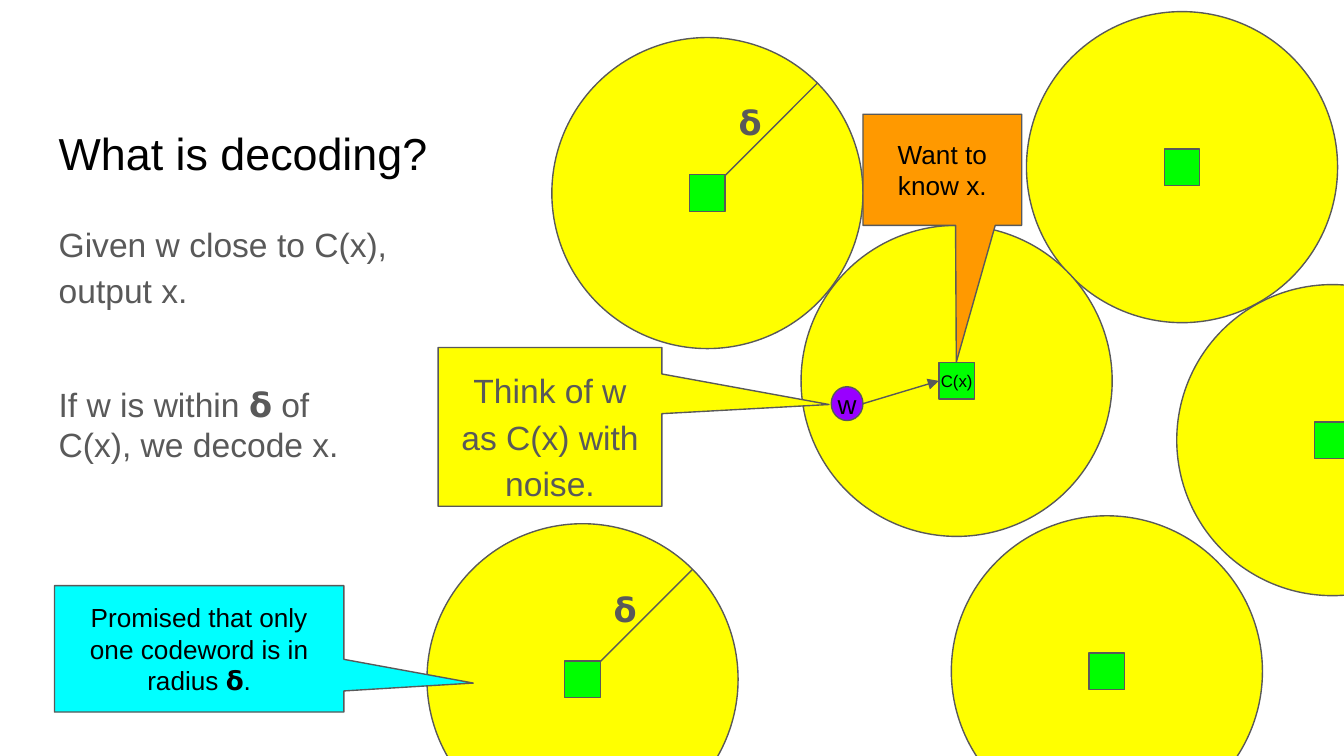
"""Build the slide that explains decoding with balls around codewords."""
import math

from lxml import etree
from pptx import Presentation
from pptx.dml.color import RGBColor
from pptx.enum.shapes import MSO_CONNECTOR, MSO_SHAPE
from pptx.enum.text import MSO_ANCHOR, MSO_AUTO_SIZE, PP_ALIGN
from pptx.oxml.ns import qn
from pptx.util import Cm, Pt

OVAL, RECTANGLE = MSO_SHAPE.OVAL, MSO_SHAPE.RECTANGLE
CALLOUT = MSO_SHAPE.RECTANGULAR_CALLOUT
STRAIGHT = MSO_CONNECTOR.STRAIGHT
TOP, MIDDLE, BOTTOM = MSO_ANCHOR.TOP, MSO_ANCHOR.MIDDLE, MSO_ANCHOR.BOTTOM
LEFT, CENTER = PP_ALIGN.LEFT, PP_ALIGN.CENTER
FIXED_SIZE = MSO_AUTO_SIZE.NONE

BLACK = RGBColor(0x00, 0x00, 0x00)
GRAY = RGBColor(0x59, 0x59, 0x59)
YELLOW = RGBColor(0xFF, 0xFF, 0x00)
GREEN = RGBColor(0x00, 0xFF, 0x00)
PURPLE = RGBColor(0x99, 0x00, 0xFF)
CYAN = RGBColor(0x00, 0xFF, 0xFF)
ORANGE = RGBColor(0xFF, 0x99, 0x00)

FONT = "Arial"
DELTA = "𝝳"
TITLE_ONLY = 5
LINE_WIDTH = Pt(0.75)
INSET = 0.25
RADIUS = 2.94
CODEWORD_SIZE = (0.67, 0.69)
NOISY_WORD_SIZE = (0.6, 0.64)

CENTERS = [(13.37, 3.65), (22.34, 3.16), (18.08, 7.2),
           (11.01, 12.84), (25.18, 8.32), (20.92, 12.69)]
MEASURED = [CENTERS[0], CENTERS[3]]
SENT = CENTERS[2]
RECEIVED = (16.01, 7.63)


def around(center, size):
    """Return the box of the given size around a centre."""
    return center[0] - size[0] / 2, center[1] - size[1] / 2, *size


def write(shape, text, size, color=BLACK, align=LEFT, anchor=TOP,
          inset=INSET, top_inset=None, spaced=False):
    """Set and format the text of a shape."""
    frame = shape.text_frame
    frame.text = text
    frame.word_wrap = True
    frame.auto_size = FIXED_SIZE
    frame.vertical_anchor = anchor
    frame.margin_left = frame.margin_right = frame.margin_bottom = Cm(inset)
    frame.margin_top = Cm(inset if top_inset is None else top_inset)
    for para in frame.paragraphs:
        para.alignment = align
        if spaced:
            para.line_spacing = 1.15
            para.space_after = Pt(12)
        for span in para.runs:
            span.font.name = FONT
            span.font.size = Pt(size)
            span.font.color.rgb = color


def add_outlined(shapes, kind, box, fill):
    """Add a filled shape with a thin gray outline."""
    shape = shapes.add_shape(kind, *map(Cm, box))
    shape.shadow.inherit = False
    shape.fill.solid()
    shape.fill.fore_color.rgb = fill
    shape.line.color.rgb = GRAY
    shape.line.width = LINE_WIDTH
    return shape


def add_line(shapes, start, end):
    """Add a thin gray straight line."""
    line = shapes.add_connector(STRAIGHT, *map(Cm, (*start, *end)))
    line.line.color.rgb = GRAY
    line.line.width = LINE_WIDTH
    etree.SubElement(line.element.spPr, qn("a:effectLst"))
    return line


def add_text(shapes, box, text, **style):
    """Add a text box with one paragraph."""
    write(shapes.add_textbox(*map(Cm, box)), text, 18, GRAY, **style)


def add_radius(shapes, center):
    """Add a diagonal radius and its label to a ball."""
    x, y = center
    reach = RADIUS * math.sqrt(0.5)
    add_line(shapes, center, (x + reach, y - reach))
    add_text(shapes, (x + 0.34, y - 2.08, 0.97, 1.4), DELTA, spaced=True)


def add_balls(page):
    """Add the group of balls with the measured radii."""
    group = page.shapes.add_group_shape()
    for center in CENTERS:
        box = around(center, (2 * RADIUS, 2 * RADIUS))
        add_outlined(group.shapes, OVAL, box, YELLOW)
    for center in MEASURED:
        add_radius(group.shapes, center)


def add_words(page):
    """Add the codewords, the noisy word and the arrow between them."""
    codewords = {center: add_outlined(page.shapes, RECTANGLE,
                                      around(center, CODEWORD_SIZE), GREEN)
                 for center in CENTERS}
    sent = codewords[SENT]
    write(sent, "C(x)", 9, align=CENTER, anchor=MIDDLE, inset=0)
    received = add_outlined(page.shapes, OVAL,
                            around(RECEIVED, NOISY_WORD_SIZE), PURPLE)
    write(received, "w", 14, align=CENTER, anchor=MIDDLE, inset=0)
    edge = (RECEIVED[0] + NOISY_WORD_SIZE[0] / 2, RECEIVED[1])
    arrow = add_line(page.shapes, edge, SENT)
    arrow.end_connect(sent, 1)
    outline = arrow.element.spPr.find(qn("a:ln"))
    etree.SubElement(outline, qn("a:tailEnd"), type="triangle")


def add_callout(page, box, tip, fill, text, size=14, **style):
    """Add a callout whose tip is a share of its box from the centre."""
    callout = add_outlined(page.shapes, CALLOUT, box, fill)
    callout.adjustments[0], callout.adjustments[1] = tip
    write(callout, text, size, align=CENTER, anchor=MIDDLE, **style)


def add_explanation(page, box):
    """Place the title and the two statements down a column."""
    left, top, width = box
    title = page.shapes.title
    title.left, title.top = Cm(left), Cm(top)
    title.width, title.height = Cm(width), Cm(2.1)
    write(title, "What is decoding?", 24, anchor=BOTTOM)
    add_text(page.shapes, (left, top + 2.31, width, 2.57),
             "Given w close to C(x), output x.", spaced=True)
    add_text(page.shapes, (left, top + 5.46, 6.45, 2.1),
             f"If w is within {DELTA} of C(x), we decode x.")


def main():
    """Build and save the deck."""
    deck = Presentation()
    deck.slide_width, deck.slide_height = Cm(25.4), Cm(14.29)
    page = deck.slides.add_slide(deck.slide_layouts[TITLE_ONLY])
    add_balls(page)
    add_words(page)
    add_explanation(page, (0.86, 1.55, 7.8))
    add_callout(page, (1.03, 11.07, 5.47, 2.39), (0.947, 0.271), CYAN,
                f"Promised that only one codeword is in radius {DELTA}.")
    add_callout(page, (8.28, 6.57, 4.23, 3), (1.247, -0.141), YELLOW,
                "Think of w as C(x) with noise.", 18, color=GRAY,
                top_inset=0.51, spaced=True)
    add_callout(page, (16.31, 2.16, 3, 2.1), (0.088, 1.732), ORANGE,
                "Want to know x.")
    deck.save("out.pptx")


if __name__ == "__main__":
    main()
